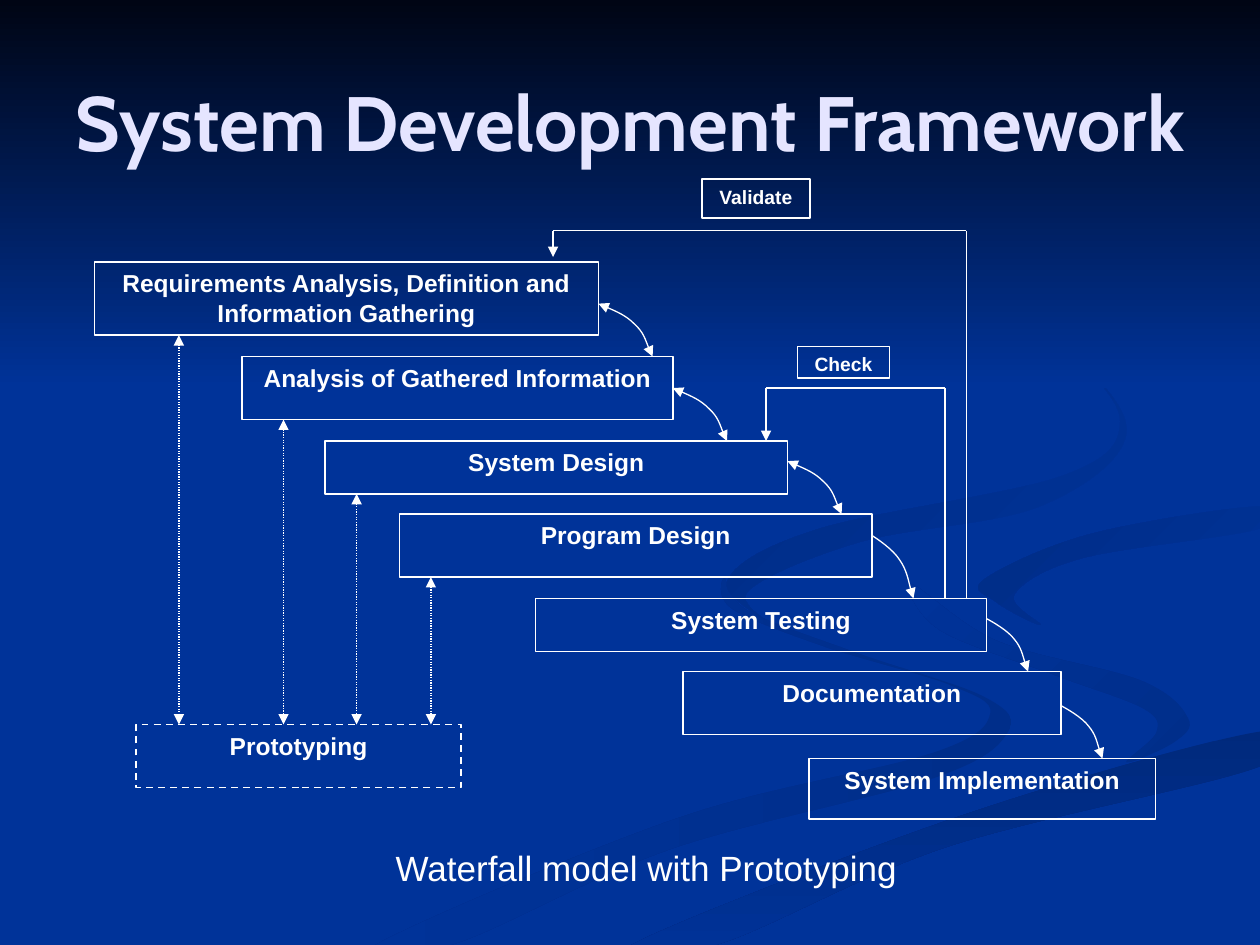
"""Build the waterfall model slide with its prototyping links."""
from itertools import pairwise
from lxml.etree import SubElement
from pptx import Presentation
from pptx.dml.color import RGBColor
from pptx.enum.dml import MSO_LINE
from pptx.enum.shapes import MSO_CONNECTOR, MSO_SHAPE
from pptx.enum.text import MSO_ANCHOR, PP_ALIGN
from pptx.oxml.ns import qn
from pptx.util import Inches, Pt

WHITE = "FFFFFF"
BLUE = "003399"
BOX_LINE = 0.99
ARROW_LINE = 0.74
BEND = [(0, 0), (0.12, 0.05), (0.51, 0.22), (0.67, 0.39), (0.84, 0.55), (0.93, 0.87), (1, 1)]

RIBBONS = [
    ("002E8A", BLUE, 180, [
        (7.81, 5.53), (6.82, 5.19), (5.94, 4.85), (5.75, 4.59), (5.81, 4.83), (6.54, 5.13),
        (7.52, 5.43), (7.86, 5.66), (7.39, 5.98), (5.39, 6.49), (3, 7.49), (3.61, 7.49),
        (5.32, 6.74), (7.4, 6.18), (8, 5.81)]),
    ("002E8A", BLUE, 225, [
        (9.43, 5.7), (9.05, 5.4), (7.92, 5.09), (7.24, 4.64), (7.46, 5), (8.38, 5.36),
        (9.07, 5.62), (9.18, 5.81), (8.94, 6.05), (9.32, 5.89)]),
    ("00297C", BLUE, 90, [
        (5.03, 7.49), (5.71, 7.49), (7.52, 6.72), (9.98, 6.09), (9.98, 5.81), (7.64, 6.47)]),
    (BLUE, "002C85", 225, [
        (7.81, 4.6), (7.91, 4.78), (8.26, 4.96), (8.05, 4.72), (8.59, 4.43), (9.98, 4.2),
        (9.98, 4.02), (8.65, 4.24)]),
    (BLUE, "002B81", 225, [
        (6.83, 4.3), (8.25, 4.02), (8.94, 3.44), (8.43, 2.75), (7.62, 2.33), (8.46, 2.79),
        (8.89, 3.35), (8.42, 3.78), (6.49, 4.2), (5.77, 4.62), (6.22, 5), (5.93, 4.7)]),
]
STAGES = [
    ("Requirements Analysis, Definition and Information Gathering", 0.75, 2.08, 4, 0.58),
    ("Analysis of Gathered Information", 1.92, 2.83, 3.42, 0.5),
    ("System Design", 2.58, 3.5, 3.67, 0.42),
    ("Program Design", 3.17, 4.08, 3.75, 0.5),
    ("System Testing", 4.25, 4.75, 3.58, 0.42),
    ("Documentation", 5.42, 5.33, 3, 0.5),
    ("System Implementation", 6.42, 6.02, 2.75, 0.48),
]
PROTOTYPE_LINKS = [1.42, 2.25, 2.83, 3.42]
FEEDBACKS = [(7.5, 3.08, 6.08, 3.5), (7.67, 1.83, 4.39, 2.04)]


def color(value):
    """Turn a hex string into a colour."""
    return RGBColor.from_string(value)


def write(shape, text, size, bold=True, text_color=WHITE, font="Arial", anchor=MSO_ANCHOR.TOP):
    """Put one centred paragraph into a shape."""
    frame = shape.text_frame
    frame.word_wrap = True
    frame.vertical_anchor = anchor
    paragraph = frame.paragraphs[0]
    paragraph.alignment = PP_ALIGN.CENTER
    run = paragraph.add_run()
    run.text = text
    run.font.size = Pt(size)
    run.font.bold = bold
    run.font.name = font
    run.font.color.rgb = color(text_color)
    return paragraph


def style_line(line, width, dash=None, head=False, tail=False):
    """Style a white line and its arrowheads."""
    line.color.rgb = color(WHITE)
    line.width = Pt(width)
    if dash:
        line.dash_style = dash
    for tag, wanted in (("a:headEnd", head), ("a:tailEnd", tail)):
        if wanted:
            SubElement(line._get_or_add_ln(), qn(tag), type="triangle")


def add_curve(slide, points):
    """Draw cubic curves through a start point and groups of three points."""
    places = [(Inches(x), Inches(y)) for x, y in points]
    builder = slide.shapes.build_freeform(*places[0])
    builder.add_line_segments(places[1:], close=False)
    shape = builder.convert_to_shape()
    shape.shadow.inherit = False
    segments = list(shape._element.iter(qn("a:lnTo")))
    outline = segments[0].getparent()
    for index in range(0, len(segments), 3):
        curve = SubElement(outline, qn("a:cubicBezTo"))
        for segment in segments[index:index + 3]:
            curve.append(segment[0])
            outline.remove(segment)
    return shape


def smooth_loop(points):
    """Return the curve points of a smooth loop through the given points."""
    loop = [points[0]]
    count = len(points)
    for index in range(count):
        before, start, end, after = (points[(index + step) % count] for step in (-1, 0, 1, 2))
        loop.append(tuple(s + (e - b) / 6 for b, s, e in zip(before, start, end)))
        loop.append(tuple(e - (a - s) / 6 for s, e, a in zip(start, end, after)))
        loop.append(end)
    return loop


def fill_gradient(shape, first, last, angle):
    """Fill a shape without outline with a gradient at a clockwise angle."""
    shape.shadow.inherit = False
    shape.line.fill.background()
    shape.fill.gradient()
    shape.fill.gradient_angle = 360 - angle
    for stop, value in zip(shape.fill.gradient_stops, (first, last)):
        stop.color.rgb = color(value)


def add_rectangle(slide, *place):
    """Add a rectangle at a place given in inches."""
    lengths = [Inches(value) for value in place]
    return slide.shapes.add_shape(MSO_SHAPE.RECTANGLE, *lengths)


def add_background(slide):
    """Draw the blue background with its ribbons and dark top."""
    slide.background.fill.solid()
    slide.background.fill.fore_color.rgb = color(BLUE)
    for first, last, angle, points in RIBBONS:
        fill_gradient(add_curve(slide, smooth_loop(points)), first, last, angle)
    fill_gradient(add_rectangle(slide, 0, 0, 10, 3.08), "000514", BLUE, 90)


def add_box(slide, text, left, top, width, height, size=14, dash=None):
    """Draw an outlined box with a bold label."""
    shape = add_rectangle(slide, left, top, width, height)
    shape.shadow.inherit = False
    shape.fill.background()
    style_line(shape.line, BOX_LINE, dash)
    write(shape, text, size)


def add_label(slide, left, top, width, height, text, size, **options):
    """Add a text box and return its paragraph."""
    place = [Inches(value) for value in (left, top, width, height)]
    return write(slide.shapes.add_textbox(*place), text, size, **options)


def add_line(slide, start, end, **options):
    """Draw a straight connector."""
    ends = [Inches(value) for value in (*start, *end)]
    connector = slide.shapes.add_connector(MSO_CONNECTOR.STRAIGHT, *ends)
    SubElement(connector._element.spPr, qn("a:effectLst"))
    style_line(connector.line, ARROW_LINE, **options)


def add_steps(slide):
    """Draw a curved arrow from each stage down to the next."""
    for number, (stage, following) in enumerate(pairwise(STAGES)):
        both_ways = number < 3
        width = 0.43 if both_ways else 0.33
        height = 0.5 if stage[0] == "Program Design" else 0.42
        left = stage[1] + stage[3]
        top = following[2] - height
        shape = add_curve(slide, [(left + width * x, top + height * y) for x, y in BEND])
        shape.fill.background()
        style_line(shape.line, ARROW_LINE, head=both_ways, tail=True)


def add_feedback(slide, right, top, left, bottom):
    """Draw a line from System Testing back to an earlier stage."""
    add_line(slide, (right, 4.75), (right, top))
    add_line(slide, (right, top), (left, top))
    add_line(slide, (left, top), (left, bottom), tail=True)


def main():
    """Build and save the slide."""
    presentation = Presentation()
    presentation.slide_width = Inches(10)
    presentation.slide_height = Inches(7.5)
    slide = presentation.slides.add_slide(presentation.slide_layouts[6])
    add_background(slide)
    add_label(slide, 0.17, 0.25, 9.67, 1.42, "System Development Framework", 44,
              text_color="E5E5FF", font="Cabin", anchor=MSO_ANCHOR.MIDDLE)
    for stage in STAGES:
        add_box(slide, *stage)
    add_box(slide, "Prototyping", 1.08, 5.75, 2.58, 0.5, dash=MSO_LINE.DASH)
    for x, stage in zip(PROTOTYPE_LINKS, STAGES):
        add_line(slide, (x, stage[2] + stage[4]), (x, 5.75), dash=MSO_LINE.ROUND_DOT,
                 head=True, tail=True)
    add_steps(slide)
    for feedback in FEEDBACKS:
        add_feedback(slide, *feedback)
    add_box(slide, "Validate", 5.57, 1.42, 0.86, 0.31, size=11)
    add_box(slide, "Check", 6.33, 2.75, 0.73, 0.25, size=11)
    caption = add_label(slide, 2.42, 6.67, 5.42, 0.44, "Waterfall model with Prototyping", 20,
                        bold=False)
    caption.space_before = Pt(12.5)
    presentation.save("out.pptx")


main()
